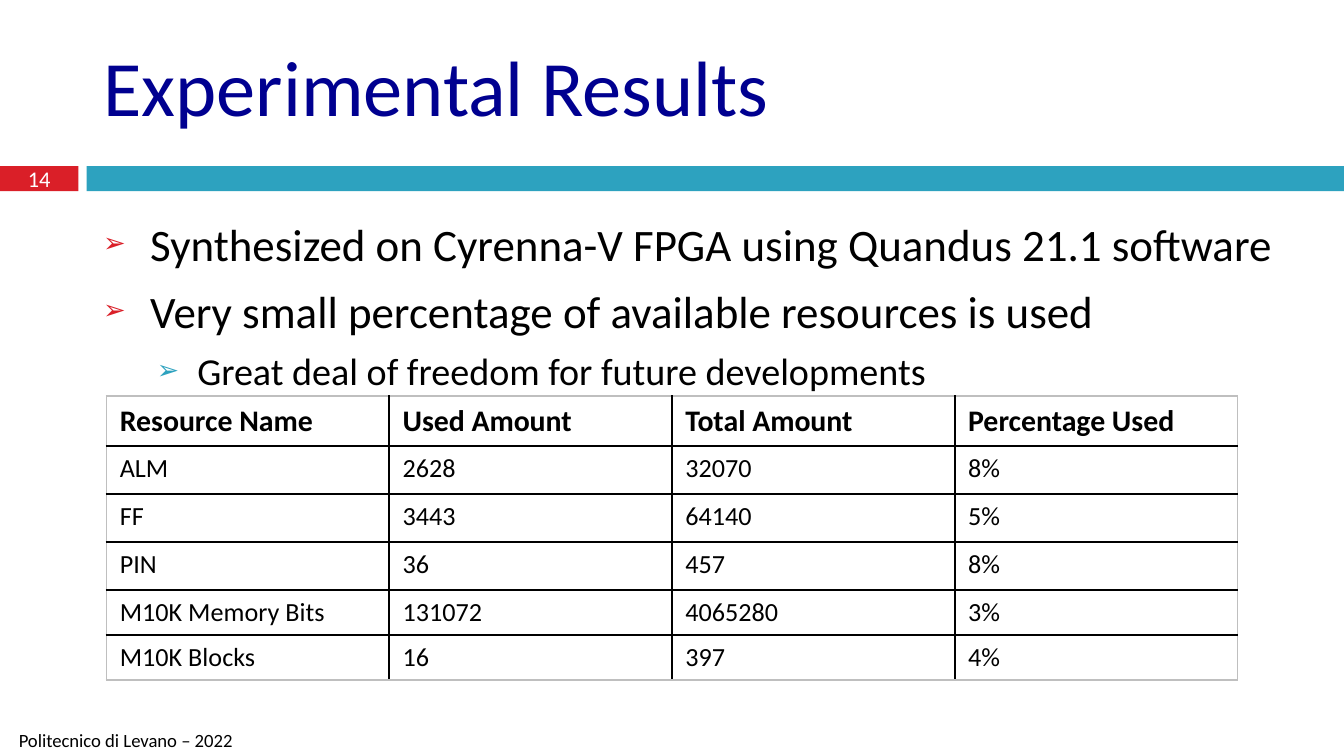
import pptx
import pptx.dml.color
import pptx.enum.shapes
import pptx.enum.text
import pptx.oxml.ns
import pptx.util
from lxml import etree

Pt = pptx.util.Pt
RGBColor = pptx.dml.color.RGBColor
ALIGN = pptx.enum.text.PP_ALIGN
ANCHOR = pptx.enum.text.MSO_ANCHOR
AUTO = pptx.enum.text.MSO_AUTO_SIZE
qn = pptx.oxml.ns.qn

RED = RGBColor(0xDA, 0x1F, 0x28)
TEAL = RGBColor(0x2D, 0xA2, 0xBF)
NAVY = RGBColor(0x00, 0x00, 0x90)
BLACK = RGBColor(0, 0, 0)
WHITE = RGBColor(0xFF, 0xFF, 0xFF)
GREY = RGBColor(0xBF, 0xBF, 0xBF)

# Per level: size, left margin, hanging indent, space before, bullet colour, bullet %
BULLET_LEVELS = [
    (24.1, 25.2, 25.2, 7, RED, 60),
    (20.4, 50.4, 21.6, 5.5, TEAL, 70),
]
BULLETS = [
    (0, "Synthesized on Cyrenna-V FPGA using Quandus 21.1 software"),
    (0, "Very small percentage of available resources is used"),
    (1, "Great deal of freedom for future developments"),
]
RESOURCES = [
    ("Resource Name", "Used Amount", "Total Amount", "Percentage Used"),
    ("ALM", "2628", "32070", "8%"),
    ("FF", "3443", "64140", "5%"),
    ("PIN", "36", "457", "8%"),
    ("M10K Memory Bits", "131072", "4065280", "3%"),
    ("M10K Blocks", "16", "397", "4%"),
]
ROW_HEIGHTS = [26.8, 25.7, 25.7, 25.6, 24.2, 24.2]


class SlideBuilder:
    """Holds the font and the current slide; lengths are in points."""

    def __init__(self, slide, font="Calibri"):
        self.slide = slide
        self.font = font

    def run(self, p, text, size, color=BLACK, bold=False):
        r = p.add_run()
        r.text = text
        r.font.name = self.font
        r.font.size = Pt(size)
        r.font.bold = bold
        r.font.color.rgb = color

    def title(self, text, x, y, w, h):
        sp = self.slide.shapes.title
        sp.left, sp.top, sp.width, sp.height = Pt(x), Pt(y), Pt(w), Pt(h)
        tf = sp.text_frame
        tf.auto_size = AUTO.NONE
        tf.vertical_anchor = ANCHOR.MIDDLE
        p = tf.paragraphs[0]
        p.alignment = ALIGN.LEFT
        p.line_spacing = 0.9
        self.run(p, text, 42, NAVY)

    def bar(self, x, y, w, h, color):
        sp = self.slide.shapes.add_shape(
            pptx.enum.shapes.MSO_SHAPE.RECTANGLE, Pt(x), Pt(y), Pt(w), Pt(h))
        sp.shadow.inherit = False
        sp.fill.solid()
        sp.fill.fore_color.rgb = color
        sp.line.fill.background()

    def text_frame(self, x, y, w, h):
        tf = self.slide.shapes.add_textbox(Pt(x), Pt(y), Pt(w), Pt(h)).text_frame
        tf.word_wrap = True
        return tf

    def label(self, text, x, y, w, h, size, color, align, anchor=ANCHOR.TOP):
        tf = self.text_frame(x, y, w, h)
        tf.vertical_anchor = anchor
        p = tf.paragraphs[0]
        p.alignment = align
        self.run(p, text, size, color)

    def bullets(self, items, x, y, w, h):
        tf = self.text_frame(x, y, w, h)
        for i, (level, text) in enumerate(items):
            p = tf.add_paragraph() if i else tf.paragraphs[0]
            size, margin, hanging, before, color, percent = BULLET_LEVELS[level]
            p.level = level
            p.space_before = Pt(before)
            pPr = p._p.get_or_add_pPr()
            pPr.set("marL", str(Pt(margin)))
            pPr.set("indent", str(-Pt(hanging)))
            buClr = etree.SubElement(pPr, qn("a:buClr"))
            etree.SubElement(buClr, qn("a:srgbClr"), val=str(color))
            etree.SubElement(pPr, qn("a:buSzPct"), val=str(percent * 1000))
            etree.SubElement(pPr, qn("a:buFont"), typeface=self.font)
            etree.SubElement(pPr, qn("a:buChar"), char="➢")
            self.run(p, text, size)

    def cell_borders(self, cell, colors):
        """Draw 1 pt borders; colors are left, right, top, bottom."""
        tcPr = cell._tc.get_or_add_tcPr()
        for i, (side, color) in enumerate(zip("LRTB", colors)):
            ln = etree.Element(qn(f"a:ln{side}"), w=str(Pt(1)))
            fill = etree.SubElement(ln, qn("a:solidFill"))
            etree.SubElement(fill, qn("a:srgbClr"), val=str(color))
            tcPr.insert(i, ln)

    def table(self, rows, heights, x, y, w):
        n_rows, n_cols = len(rows), len(rows[0])
        frame = self.slide.shapes.add_table(
            n_rows, n_cols, Pt(x), Pt(y), Pt(w), Pt(sum(heights)))
        table = frame.table
        for i, (values, height) in enumerate(zip(rows, heights)):
            table.rows[i].height = Pt(height)
            for j, value in enumerate(values):
                cell = table.cell(i, j)
                cell.fill.background()
                header = i == 0
                self.run(cell.text_frame.paragraphs[0], value,
                         16 if header else 14, bold=header)
                on_edge = (j == 0, j == n_cols - 1, i == 0, i == n_rows - 1)
                self.cell_borders(cell, [GREY if e else BLACK for e in on_edge])


def main():
    prs = pptx.Presentation()
    prs.slide_width, prs.slide_height = Pt(720), Pt(405)
    s = SlideBuilder(prs.slides.add_slide(prs.slide_layouts[5]))
    s.bar(0, 89, 42, 13.5, RED)
    s.bar(46.5, 89, 673.5, 13.5, TEAL)
    # Left-aligned, with room to spare, so the year stays on the line
    s.label("Politecnico di Levano – 2022", 3, 387, 150, 18, 10, BLACK, ALIGN.LEFT)
    s.title("Experimental Results", 48.2, 9.4, 642.2, 79.2)
    s.label("14", 0, 88.6, 42, 14.4, 12, WHITE, ALIGN.CENTER, ANCHOR.MIDDLE)
    s.bullets(BULLETS, 48.2, 112.3, 646, 90)
    s.table(RESOURCES, ROW_HEIGHTS, 57, 212.3, 606)
    prs.save("out.pptx")


if __name__ == "__main__":
    main()
